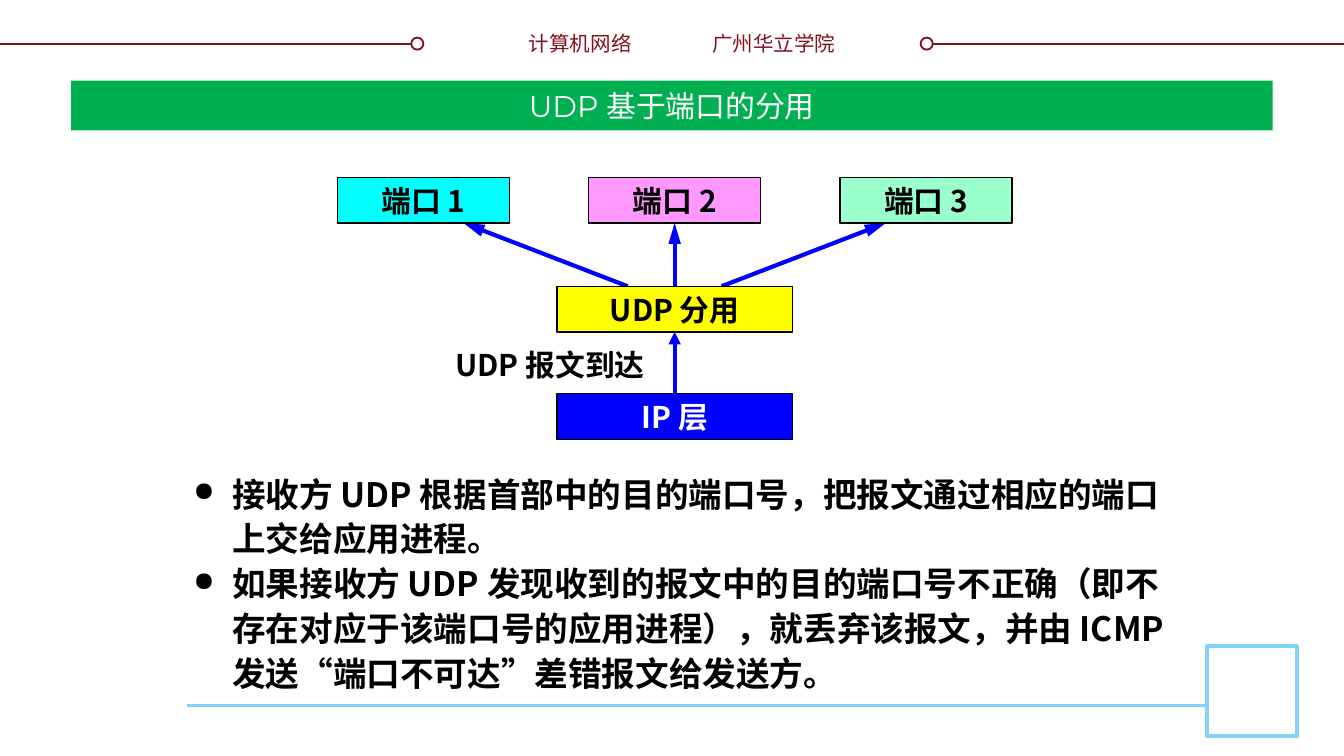
from lxml import etree
from pptx import Presentation
from pptx.dml.color import RGBColor
from pptx.enum import shapes, text
from pptx.oxml import ns
from pptx.util import Inches, Pt

COLORS = {
    "maroon": "7F131F", "sky": "85D1F7", "green": "00B050", "blue": "0000FF",
    "cyan": "00FFFF", "pink": "FF99FF", "mint": "99FFCC", "yellow": "FFFF00",
    "black": "000000", "white": "FFFFFF",
}
CJK_FONT = "Noto Sans CJK SC"


def rgb(name):
    return RGBColor.from_string(COLORS[name])


def add_xml(parent, tag, **attributes):
    return etree.SubElement(parent, ns.qn(tag), **attributes)


class SlideBuilder:
    def __init__(self, slide):
        self.slide = slide

    def style(self, paragraph, size, color, bold=False, font=CJK_FONT):
        """Set the Latin and East Asian typefaces together."""
        paragraph.font.size = Pt(size)
        paragraph.font.bold = bold
        paragraph.font.name = font
        paragraph.font.color.rgb = rgb(color)
        properties = paragraph._p.pPr.find(ns.qn("a:defRPr"))
        add_xml(properties, "a:ea", typeface=CJK_FONT)

    def shape(self, box, fill, line=None, width=0.75, kind=shapes.MSO_SHAPE.RECTANGLE):
        item = self.slide.shapes.add_shape(kind, *map(Inches, box))
        item.shadow.inherit = False
        item.fill.solid()
        item.fill.fore_color.rgb = rgb(fill)
        if line:
            item.line.color.rgb = rgb(line)
            item.line.width = Pt(width)
        else:
            item.line.fill.background()
        return item

    def box(self, box, words, fill, line="black", color="black", wrap=False, **style):
        frame = self.shape(box, fill, line).text_frame
        frame.word_wrap = wrap
        frame.vertical_anchor = text.MSO_ANCHOR.MIDDLE
        paragraph = frame.paragraphs[0]
        paragraph.text = words
        paragraph.alignment = text.PP_ALIGN.CENTER
        self.style(paragraph, 16, color, **style)

    def label(self, box, words, size, color, bold=False, align=text.PP_ALIGN.LEFT):
        frame = self.slide.shapes.add_textbox(*map(Inches, box)).text_frame
        frame.word_wrap = False
        frame.auto_size = text.MSO_AUTO_SIZE.SHAPE_TO_FIT_TEXT
        paragraph = frame.paragraphs[0]
        paragraph.text = words
        paragraph.alignment = align
        self.style(paragraph, size, color, bold)

    def bullets(self, box, items):
        frame = self.slide.shapes.add_textbox(*map(Inches, box)).text_frame
        frame.word_wrap = True
        for index, words in enumerate(items):
            paragraph = frame.add_paragraph() if index else frame.paragraphs[0]
            paragraph.text = words
            paragraph.line_spacing = Pt(24)
            properties = paragraph._p.get_or_add_pPr()
            properties.set("marL", str(Inches(0.29)))
            properties.set("indent", str(-Inches(0.29)))
            add_xml(properties, "a:buSzPct", val="80000")
            add_xml(properties, "a:buChar", char="●")
            self.style(paragraph, 18, "black", bold=True)

    def line(self, start, end, color, width, head_length=None):
        """Draw a line, with an arrowhead when head_length is given."""
        connector = self.slide.shapes.add_connector(
            shapes.MSO_CONNECTOR.STRAIGHT, *map(Inches, (*start, *end)))
        connector.line.color.rgb = rgb(color)
        connector.line.width = Pt(width)
        if head_length:
            add_xml(connector.line._get_or_add_ln(), "a:tailEnd",
                    type="triangle", w="med", len=head_length)
        add_xml(connector._element.spPr, "a:effectLst")


def add_frame(builder):
    for line_left, ring_left in ((0, 3.06), (6.85, 6.85)):
        builder.line((line_left, 0.33), (line_left + 3.15, 0.33), "maroon", 1)
        builder.shape((ring_left, 0.28, 0.09, 0.09), "white", "maroon", 1,
                      shapes.MSO_SHAPE.OVAL)
    builder.label((3.83, 0.18, 0.97, 0.29), "计算机网络", 11, "maroon",
                  align=text.PP_ALIGN.RIGHT)
    builder.label((5.2, 0.18, 1.16, 0.29), "广州华立学院", 11, "maroon")
    builder.line((1.39, 5.25), (8.98, 5.25), "sky", 1.5)
    builder.shape((8.98, 4.81, 0.67, 0.67), "white", "sky", 2)


def add_diagram(builder):
    center, height = 5.02, 0.34
    port_top, demux_top, ip_top = 1.32, 2.13, 2.93
    port_width, port_pitch, layer_width = 1.28, 1.87, 1.75

    builder.line((center, ip_top), (center, demux_top + height), "blue", 2.25, "med")
    for number, fill in enumerate(("cyan", "pink", "mint"), start=1):
        side = number - 2
        builder.line((center + side * 0.35, demux_top),
                     (center + side * 1.57, port_top + height), "blue", 2.25, "lg")
        left = center + side * port_pitch - port_width / 2
        builder.box((left, port_top, port_width, height), f"端口 {number}", fill, bold=True)

    layer_left = center - layer_width / 2
    builder.box((layer_left, demux_top, layer_width, height), "UDP 分用", "yellow", bold=True)
    builder.box((layer_left, ip_top, layer_width, height), "IP 层", "blue",
                color="white", bold=True)
    builder.label((3.29, 2.53, 1.66, 0.37), "UDP 报文到达", 16, "black", bold=True)


def main():
    deck = Presentation()
    deck.slide_width = Inches(10)
    deck.slide_height = deck.slide_width * 9 // 16
    builder = SlideBuilder(deck.slides.add_slide(deck.slide_layouts[6]))
    add_frame(builder)
    builder.box((0.53, 0.6, 8.94, 0.37), "UDP 基于端口的分用", "green", line=None,
                color="white", wrap=True, font="Montserrat")
    add_diagram(builder)
    builder.bullets((1.34, 3.44, 7.53, 1.78), (
        "接收方 UDP 根据首部中的目的端口号，把报文通过相应的端口上交给应用进程。",
        "如果接收方 UDP 发现收到的报文中的目的端口号不正确（即不存在对应于该端口号的应用进程），"
        "就丢弃该报文，并由 ICMP 发送“端口不可达”差错报文给发送方。",
    ))
    deck.save("out.pptx")


if __name__ == "__main__":
    main()
